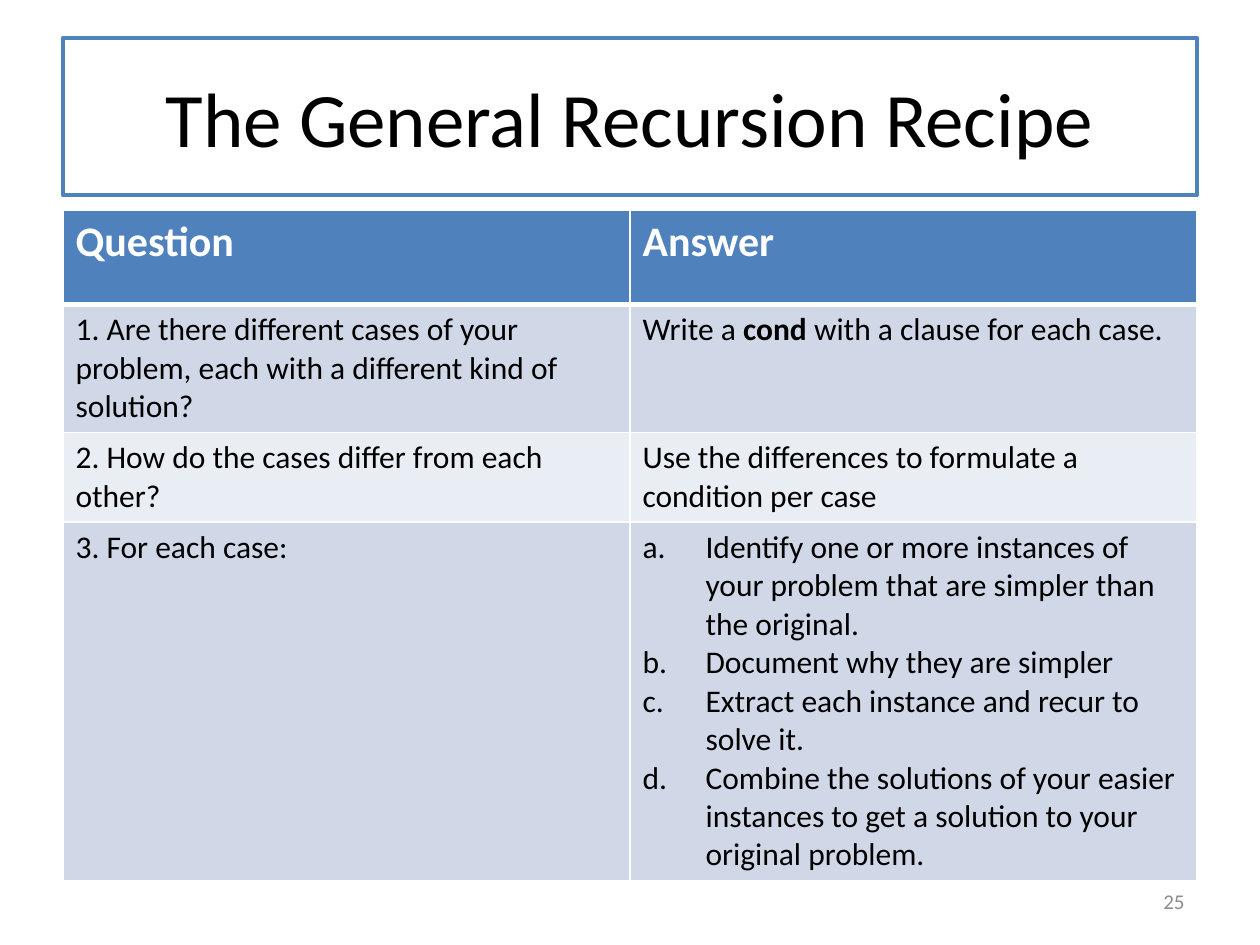
from lxml.etree import SubElement
from pptx import Presentation
from pptx.dml.color import RGBColor
from pptx.enum.text import MSO_ANCHOR as ANCHOR, PP_ALIGN as ALIGN
from pptx.oxml.ns import qn
from pptx.util import Cm, Pt

BLACK = RGBColor(0x00, 0x00, 0x00)
WHITE = RGBColor(0xFF, 0xFF, 0xFF)
GRAY = RGBColor(0x8C, 0x8C, 0x8C)
BLUE = RGBColor(0x4F, 0x81, 0xBD)
BANDS = [RGBColor(0xE9, 0xED, 0xF4), RGBColor(0xD0, 0xD8, 0xE8)]

# A cell is a string, a list of (text, bold) runs, or a tuple of lettered steps.
RECIPE = [
    ["Question", "Answer"],
    ["1. Are there different cases of your problem, each with a different kind of solution?",
     [("Write a ", False), ("cond", True), (" with a clause for each case.", False)]],
    ["2. How do the cases differ from each other?",
     "Use the differences to formulate a condition per case"],
    ["3. For each case:",
     ("Identify one or more instances of your problem that are simpler than the original.",
      "Document why they are simpler",
      "Extract each instance and recur to solve it.",
      "Combine the solutions of your easier instances to get a solution to your original problem.")],
]
ROW_HEIGHTS = [1.9, 2.54, 1.78, 7.12]


class RecipeSlide:
    font = "Calibri"
    left, width = Cm(1.27), Cm(22.86)

    def __init__(self, prs):
        self.slide = prs.slides.add_slide(prs.slide_layouts[5])

    def style(self, run, size, color, bold=False):
        run.font.name = self.font
        run.font.size = Pt(size)
        run.font.color.rgb = color
        run.font.bold = bold

    def title(self, text, top, height):
        sp = self.slide.shapes.title
        sp.left, sp.top, sp.width, sp.height = self.left, top, self.width, height
        sp.fill.solid()
        sp.fill.fore_color.rgb = WHITE
        sp.line.color.rgb = BLUE
        sp.line.width = Pt(2.25)
        tf = sp.text_frame
        tf.text = text
        tf.vertical_anchor = ANCHOR.MIDDLE
        p = tf.paragraphs[0]
        p.alignment = ALIGN.CENTER
        self.style(p.runs[0], 44, BLACK)

    def page_number(self, text, left, top, width, height):
        tf = self.slide.shapes.add_textbox(left, top, width, height).text_frame
        tf.word_wrap = True
        tf.vertical_anchor = ANCHOR.MIDDLE
        tf.text = text
        p = tf.paragraphs[0]
        p.alignment = ALIGN.RIGHT
        self.style(p.runs[0], 12, GRAY)

    def table(self, rows, heights, top):
        columns = len(rows[0])
        table = self.slide.shapes.add_table(
            len(rows), columns, self.left, top, self.width, Cm(sum(heights))).table
        for i, (row, height) in enumerate(zip(rows, heights)):
            table.rows[i].height = Cm(height)
            for j, content in enumerate(row):
                self.cell(table.cell(i, j), content, i)

    def cell(self, cell, content, row):
        header = row == 0
        self.borders(cell, top=3 if row == 1 else 1, bottom=3 if header else 1)
        cell.fill.solid()
        cell.fill.fore_color.rgb = BLUE if header else BANDS[row % 2]
        tf = cell.text_frame
        if isinstance(content, tuple):
            tf.text = "\n".join(content)
            for p in tf.paragraphs:
                self.letter(p)
        elif isinstance(content, list):
            for text, bold in content:
                r = tf.paragraphs[0].add_run()
                r.text = text
                r.font.bold = bold
        else:
            tf.text = content
        for p in tf.paragraphs:
            for r in p.runs:
                if header:
                    self.style(r, 24, WHITE, True)
                else:
                    self.style(r, 18, BLACK, bool(r.font.bold))

    def borders(self, cell, top, bottom):
        tcPr = cell._tc.get_or_add_tcPr()
        for side, width in zip("LRTB", (1, 1, top, bottom)):
            ln = SubElement(tcPr, qn(f"a:ln{side}"), w=str(Pt(width)))
            fill = SubElement(ln, qn("a:solidFill"))
            SubElement(fill, qn("a:srgbClr"), val=str(WHITE))

    def letter(self, p):
        """Number a paragraph a., b., c. with a hanging indent."""
        pPr = p._p.get_or_add_pPr()
        pPr.set("marL", str(Cm(1.27)))
        pPr.set("indent", str(-Cm(1.27)))
        SubElement(pPr, qn("a:buFont"), typeface="+mj-lt")
        SubElement(pPr, qn("a:buAutoNum"), type="alphaLcPeriod")


def main():
    prs = Presentation()
    prs.slide_width, prs.slide_height = Cm(25.4), Cm(19.05)
    s = RecipeSlide(prs)
    s.title("The General Recursion Recipe", Cm(0.76), Cm(3.18))
    s.table(RECIPE, ROW_HEIGHTS, Cm(4.24))
    s.page_number("25", Cm(18.2), Cm(17.65), Cm(5.93), Cm(1.02))
    prs.save("out.pptx")


if __name__ == "__main__":
    main()
